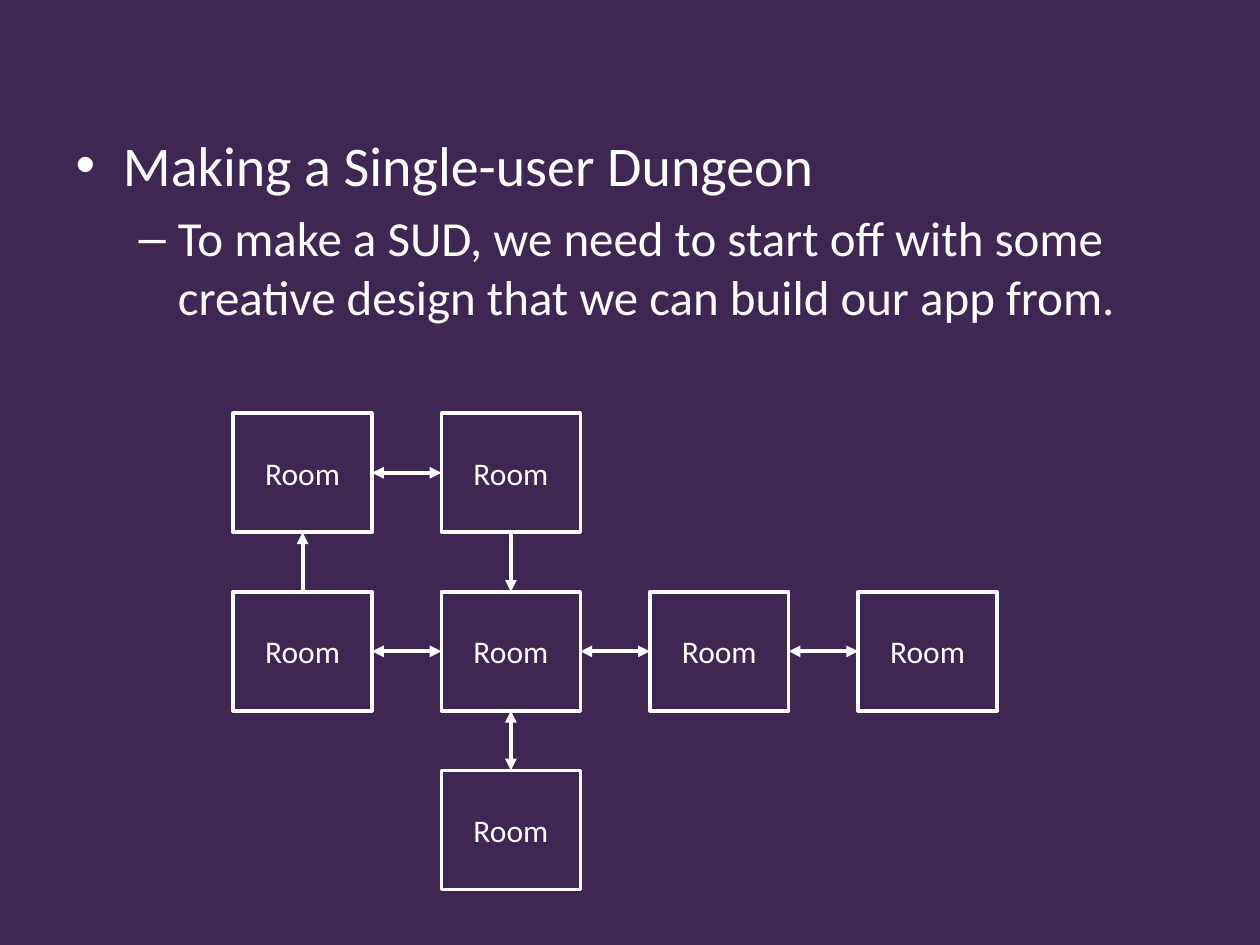
from lxml import etree
from pptx import Presentation
from pptx.dml.color import RGBColor
from pptx.enum.shapes import MSO_CONNECTOR, MSO_SHAPE
from pptx.enum.text import MSO_ANCHOR, PP_ALIGN
from pptx.oxml.ns import qn
from pptx.util import Cm, Pt

STRAIGHT = MSO_CONNECTOR.STRAIGHT
RECTANGLE = MSO_SHAPE.RECTANGLE
MIDDLE = MSO_ANCHOR.MIDDLE
CENTER = PP_ALIGN.CENTER

PURPLE = RGBColor(0x40, 0x26, 0x52)
WHITE = RGBColor(0xFF, 0xFF, 0xFF)
FONT = "Calibri"
TOP, LEFT, BOTTOM, RIGHT = range(4)

GRID_LEFT, GRID_TOP = 4.7, 8.33
ROOM_WIDTH, ROOM_HEIGHT = 2.8, 2.4
COLUMN_STEP, ROW_STEP = 4.2, 3.6

BULLETS = [
    (0, 32, "Making a Single-user Dungeon"),
    (1, 28, "To make a SUD, we need to start off with some creative design "
            "that we can build our app from."),
]

# Rooms as (column, row) on the map
ROOMS = [(0, 0), (1, 0), (0, 1), (1, 1), (2, 1), (3, 1), (1, 2)]

# Passages as (from room, to room, two-way)
PASSAGES = [
    ((0, 0), (1, 0), True),
    ((1, 0), (1, 1), False),
    ((0, 1), (0, 0), False),
    ((0, 1), (1, 1), True),
    ((1, 1), (2, 1), True),
    ((2, 1), (3, 1), True),
    ((1, 1), (1, 2), True),
]


def format_font(font, size):
    for name, value in {"name": FONT, "size": Pt(size)}.items():
        setattr(font, name, value)
    font.color.rgb = WHITE


def fill_body(body):
    place = {"left": 1.27, "top": 2.51, "width": 22.86, "height": 15.6}
    for name, value in place.items():
        setattr(body, name, Cm(value))
    frame = body.text_frame
    for index, (level, size, text) in enumerate(BULLETS):
        paragraph = frame.add_paragraph() if index else frame.paragraphs[0]
        paragraph.text = text
        paragraph.level = level
        format_font(paragraph.font, size)


def add_room(dungeon, column, row):
    room = dungeon.shapes.add_shape(
        RECTANGLE,
        Cm(GRID_LEFT + column * COLUMN_STEP), Cm(GRID_TOP + row * ROW_STEP),
        Cm(ROOM_WIDTH), Cm(ROOM_HEIGHT))
    room.shadow.inherit = False
    room.fill.background()
    room.line.color.rgb = WHITE
    room.line.width = Pt(2)
    room.text_frame.vertical_anchor = MIDDLE
    label = room.text_frame.paragraphs[0]
    label.text = "Room"
    label.alignment = CENTER
    format_font(label.font, 18)
    return room


def facing_sides(start, end):
    """Return the sides on which two neighbouring rooms face each other."""
    if start[1] == end[1]:
        return (RIGHT, LEFT) if start[0] < end[0] else (LEFT, RIGHT)
    return (BOTTOM, TOP) if start[1] < end[1] else (TOP, BOTTOM)


def add_passage(dungeon, rooms, start, end, two_way):
    start_side, end_side = facing_sides(start, end)
    passage = dungeon.shapes.add_connector(STRAIGHT, 0, 0, 0, 0)
    passage.begin_connect(rooms[start], start_side)
    passage.end_connect(rooms[end], end_side)
    passage.line.color.rgb = WHITE
    passage.line.width = Pt(2.25)
    properties = passage.element.spPr
    line = properties.find(qn("a:ln"))
    for arrow in ("a:headEnd", "a:tailEnd") if two_way else ("a:tailEnd",):
        etree.SubElement(line, qn(arrow), type="triangle")
    etree.SubElement(properties, qn("a:effectLst"))


def main():
    presentation = Presentation()
    presentation.slide_width = Cm(25.4)
    presentation.slide_height = Cm(19.05)
    slide = presentation.slides.add_slide(presentation.slide_layouts[1])
    slide.background.fill.solid()
    slide.background.fill.fore_color.rgb = PURPLE

    empty_title = slide.shapes.title.element
    empty_title.getparent().remove(empty_title)
    fill_body(slide.placeholders[1])

    dungeon = slide.shapes.add_group_shape()
    rooms = {cell: add_room(dungeon, *cell) for cell in ROOMS}
    for start, end, two_way in PASSAGES:
        add_passage(dungeon, rooms, start, end, two_way)

    presentation.save("out.pptx")


if __name__ == "__main__":
    main()
